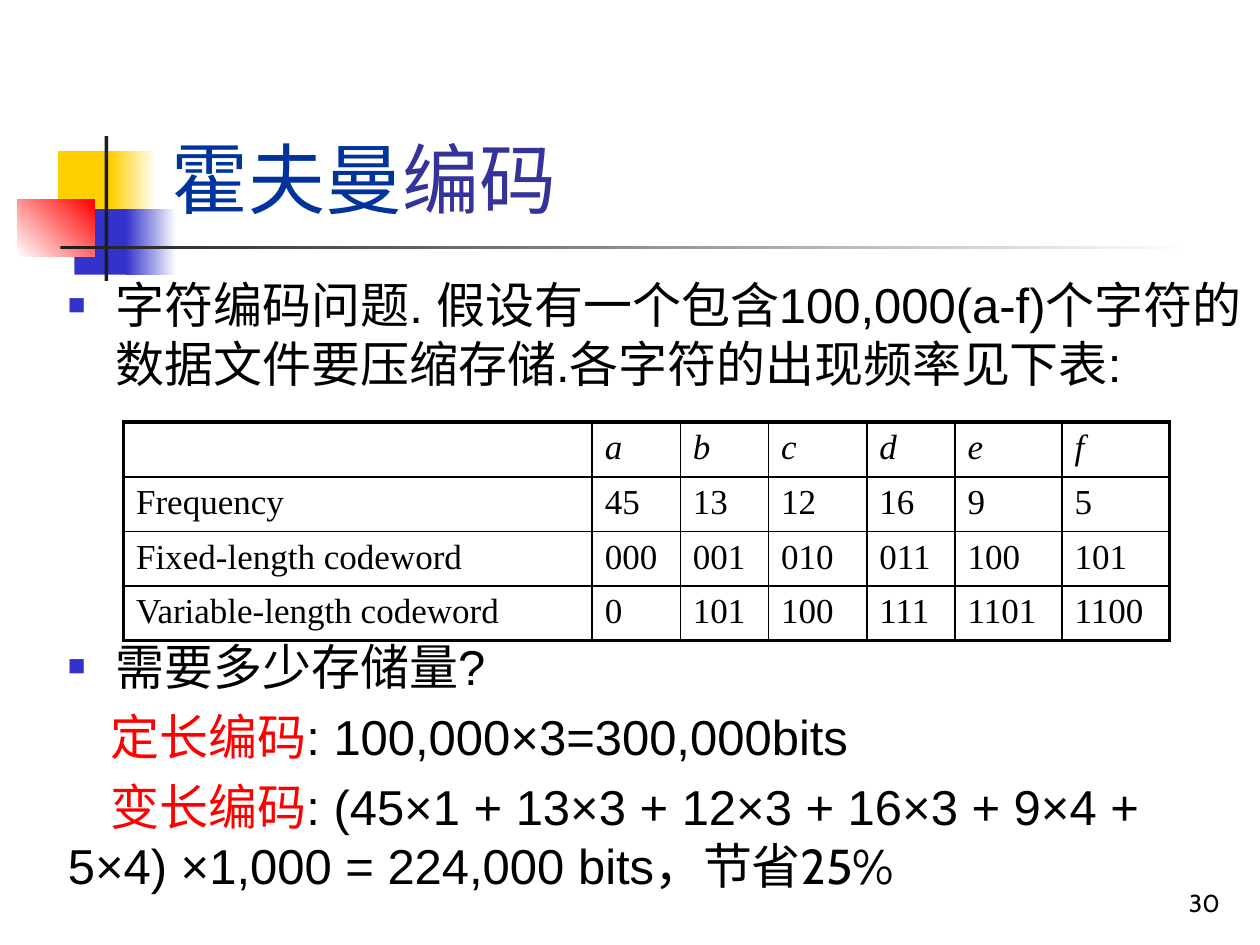
from lxml import etree
from pptx import Presentation
from pptx.dml.color import RGBColor
from pptx.enum import shapes, text
from pptx.oxml.ns import qn
from pptx.util import Inches, Pt

COLORS = {
    "yellow": "FFCF01", "blue": "3333CC", "red": "FF0000", "white": "FFFFFF",
    "bar": "1C1C1C", "black": "000000", "title": "00339B", "title end": "333399",
}

# left, top, width, height, start colour, end colour (None = solid), angle
ORNAMENTS = [
    (0.46, 1.2, 0.48, 0.52, "yellow", None, 0),
    (0.88, 1.2, 0.36, 0.52, "yellow", "white", 0),
    (0.59, 1.66, 0.46, 0.52, "blue", None, 0),
    (1, 1.66, 0.4, 0.52, "blue", "white", 0),
    (0.14, 1.58, 0.61, 0.46, "white", "red", 45),
    (0.83, 1.08, 0.03, 1.15, "bar", None, 0),
    (0.48, 1.95, 9, 0.03, "bar", "white", 0),
]

# A paragraph is (style, runs); a run is (text, colour, font).
TITLE = [("plain", [("霍夫曼", "title", "Arial"), ("编码", "title end", "Cabin")])]
PAGE_NUMBER = [("plain", [("30", "black", "Cabin")])]
PROBLEM = [("bullet", [(
    "字符编码问题. 假设有一个包含100,000(a-f)个字符的数据文件要压缩存储."
    "各字符的出现频率见下表:", "black", "Arial")])]
STORAGE = [
    ("bullet", [("需要多少存储量?", "black", "Arial")]),
    ("indented", [("定长编码", "red", "Arial"),
                  (": 100,000×3=300,000bits", "black", "Arial")]),
    ("indented", [("变长编码", "red", "Arial"),
                  (": (45×1 + 13×3 + 12×3 + 16×3 + 9×4 + 5×4) ×1,000 = "
                   "224,000 bits，节省", "black", "Arial"),
                  ("25%", "black", "Cabin")]),
]

CODES = [
    ["", "a", "b", "c", "d", "e", "f"],
    ["Frequency", "45", "13", "12", "16", "9", "5"],
    ["Fixed-length codeword", "000", "001", "010", "011", "100", "101"],
    ["Variable-length codeword", "0", "101", "100", "111", "1101", "1100"],
]
COLUMN_WIDTHS = [3.72, 0.7, 0.7, 0.78, 0.7, 0.85, 0.85]
ROW_HEIGHT = 0.41
OUTER, INNER = 2.25, 1  # border widths in points


def rgb(name):
    return RGBColor.from_string(COLORS[name])


def add_ornament(slide, left, top, width, height, start, end, angle):
    block = slide.shapes.add_shape(
        shapes.MSO_SHAPE.RECTANGLE, *map(Inches, (left, top, width, height)))
    block.shadow.inherit = False
    block.line.fill.background()
    if end is None:
        block.fill.solid()
        block.fill.fore_color.rgb = rgb(start)
        return
    block.fill.gradient()
    block.fill.gradient_angle = angle
    for stop, name in zip(block.fill.gradient_stops, (start, end)):
        stop.color.rgb = rgb(name)


def set_paragraph_style(paragraph, style):
    props = paragraph._p.get_or_add_pPr()
    if style == "indented":
        props.set("indent", str(Inches(0.34)))
    elif style == "bullet":
        props.set("marL", str(Inches(0.38)))
        props.set("indent", str(Inches(-0.38)))
        color = etree.SubElement(props, qn("a:buClr"))
        etree.SubElement(color, qn("a:srgbClr"), val=COLORS["blue"])
        etree.SubElement(props, qn("a:buSzPct"), val="60000")
        etree.SubElement(props, qn("a:buFont"), typeface="Arial")
        etree.SubElement(props, qn("a:buChar"), char="■")


def add_text(slide, place, paragraphs, size, anchor=text.MSO_ANCHOR.TOP,
             align=text.PP_ALIGN.LEFT):
    frame = slide.shapes.add_textbox(*map(Inches, place)).text_frame
    frame.word_wrap = True
    frame.vertical_anchor = anchor
    for index, (style, runs) in enumerate(paragraphs):
        paragraph = frame.add_paragraph() if index else frame.paragraphs[0]
        set_paragraph_style(paragraph, style)
        paragraph.alignment = align
        if index:
            paragraph.space_before = Pt(6.6)
        paragraph.font.size = Pt(size)
        for words, color, font in runs:
            run = paragraph.add_run()
            run.text = words
            run.font.size = Pt(size)
            run.font.name = font
            run.font.color.rgb = rgb(color)


def set_borders(cell, widths):
    """Draw black borders; widths are for left, right, top and bottom."""
    props = cell._tc.get_or_add_tcPr()
    for index, (side, width) in enumerate(zip("LRTB", widths)):
        line = etree.Element(qn(f"a:ln{side}"), w=str(Pt(width)))
        fill = etree.SubElement(line, qn("a:solidFill"))
        etree.SubElement(fill, qn("a:srgbClr"), val=COLORS["black"])
        props.insert(index, line)


def add_code_table(slide, left, top):
    last_row, last_column = len(CODES) - 1, len(COLUMN_WIDTHS) - 1
    table = slide.shapes.add_table(
        len(CODES), len(COLUMN_WIDTHS), Inches(left), Inches(top),
        Inches(sum(COLUMN_WIDTHS)), Inches(ROW_HEIGHT * len(CODES))).table
    table.first_row = table.horz_banding = False
    for column, width in zip(table.columns, COLUMN_WIDTHS):
        column.width = Inches(width)
    for r, values in enumerate(CODES):
        table.rows[r].height = Inches(ROW_HEIGHT)
        for c, value in enumerate(values):
            cell = table.cell(r, c)
            cell.text = value
            cell.fill.background()
            font = cell.text_frame.paragraphs[0].font
            font.name = "Times New Roman"
            font.size = Pt(20)
            font.italic = r == 0
            font.color.rgb = rgb("black")
            at_edge = (c == 0, c == last_column, r == 0, r == last_row)
            set_borders(cell, [OUTER if edge else INNER for edge in at_edge])


def main():
    deck = Presentation()
    deck.slide_width, deck.slide_height = Inches(10), Inches(7.5)
    slide = deck.slides.add_slide(deck.slide_layouts[6])
    for ornament in ORNAMENTS:
        add_ornament(slide, *ornament)
    add_text(slide, (1.26, 0.23, 8.52, 1.6), TITLE, 44, text.MSO_ANCHOR.BOTTOM)
    add_text(slide, (7.7, 6.83, 2.08, 0.5), PAGE_NUMBER, 14,
             text.MSO_ANCHOR.BOTTOM, text.PP_ALIGN.RIGHT)
    add_text(slide, (0.44, 2.13, 9.56, 1.1), PROBLEM, 28)
    add_code_table(slide, 0.98, 3.35)
    add_text(slide, (0.44, 5, 9.56, 2.2), STORAGE, 28)
    deck.save("out.pptx")


if __name__ == "__main__":
    main()
